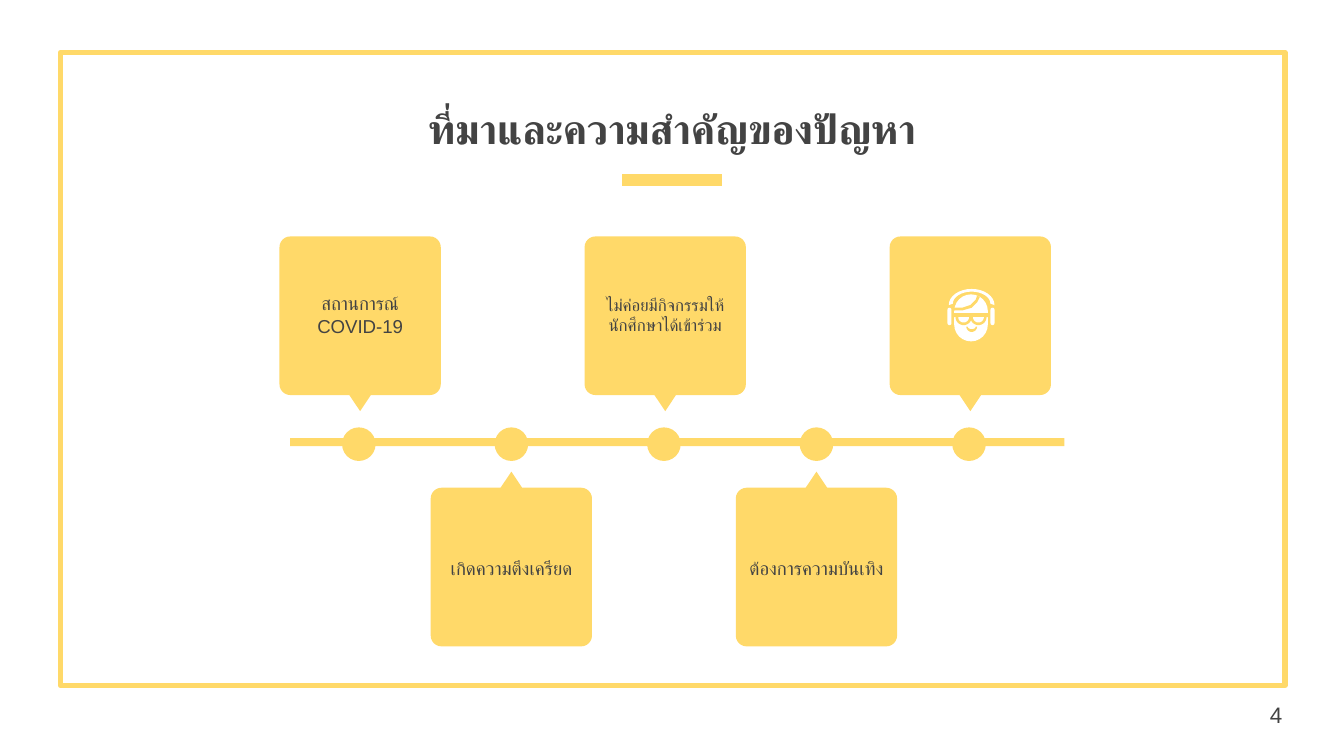
from dataclasses import dataclass
from math import cos, pi, sin

from lxml import etree
from pptx import Presentation
from pptx import util as u
from pptx.dml.color import RGBColor
from pptx.enum import shapes, text
from pptx.oxml import ns


@dataclass(frozen=True)
class Theme:
    yellow = RGBColor.from_string("FFD969")
    white = RGBColor.from_string("FFFFFF")
    ink = RGBColor.from_string("434343")
    font = "Arial"
    title = 22
    label = 10
    small = 9
    number = 12


theme = Theme()
deck = Presentation()
deck.slide_width = u.Inches(10)
deck.slide_height = deck.slide_width * 9 // 16
cell = deck.slide_width // 10  # square grid, ten columns across
page = deck.slides.add_slide(deck.slide_layouts.get_by_name("Comparison"))
Kind = shapes.MSO_SHAPE


def paint(shape, fill=None, line=None, weight=0):
    shape.shadow.inherit = False
    if fill is None:
        shape.fill.background()
    else:
        shape.fill.solid()
        shape.fill.fore_color.rgb = fill
    if line is None:
        shape.line.fill.background()
    else:
        shape.line.color.rgb = line
        shape.line.width = u.Pt(weight)


def write(box, place, words, size, bold=False,
          align=text.PP_ALIGN.CENTER, anchor=text.MSO_ANCHOR.MIDDLE):
    """Place a text box on the grid and fill it with one formatted paragraph."""
    box.left, box.top, box.width, box.height = [round(v * cell) for v in place]
    frame = box.text_frame
    frame.word_wrap = True
    frame.auto_size = text.MSO_AUTO_SIZE.NONE
    frame.vertical_anchor = anchor
    frame.margin_left = frame.margin_right = u.Inches(0.1)
    frame.margin_top = frame.margin_bottom = u.Inches(0.1)
    para = frame.paragraphs[0]
    para.alignment = align
    para.space_before = u.Pt(0)
    settings = para._p.get_or_add_pPr()
    settings.set("marL", "0")
    settings.set("indent", "0")
    etree.SubElement(settings, ns.qn("a:buNone"))
    span = para.add_run()
    span.text = words
    span.font.name = theme.font
    span.font.size = u.Pt(size)
    span.font.bold = bold
    span.font.color.rgb = theme.ink
    thai = etree.SubElement(span._r.get_or_add_rPr(), ns.qn("a:cs"))
    thai.set("typeface", theme.font)
    box.element.getparent().append(box.element)  # bring to front


# Frame and title rule
frame_box = page.shapes.add_shape(
    Kind.RECTANGLE, *[round(v * cell) for v in (0.45, 0.39, 9.11, 4.71)])
paint(frame_box, line=theme.yellow, weight=3)
rule = page.shapes.add_connector(
    shapes.MSO_CONNECTOR.STRAIGHT,
    *[round(v * cell) for v in (4.63, 1.34, 5.37, 1.34)])
rule.line.color.rgb = theme.yellow
rule.line.width = u.Pt(6)
etree.SubElement(rule._element.spPr, ns.qn("a:effectLst"))

# Timeline: bar, then a dot and a card for each stop
timeline = page.shapes.add_group_shape()
bar = timeline.shapes.add_shape(
    Kind.RECTANGLE, *[round(v * cell) for v in (2.16, 3.26, 5.76, 0.06)])
paint(bar, theme.yellow)

half, tall, tail, radius, dot = 0.6, 1.18, 0.12, 0.08, 0.25
corners = [(-1, tail + radius, 270), (-1, tail + tall - radius, 180),
           (1, tail + tall - radius, 90), (1, tail + radius, 0)]
card_outline = [(0, 0), (-radius, tail)]  # measured from the tip of the tail
for side, depth, start in corners:
    for turn in range(0, 91, 15):
        angle = (start - turn) * pi / 180
        card_outline.append((side * (half - radius) + radius * cos(angle),
                             depth + radius * sin(angle)))
card_outline.append((radius, tail))

first, last = 2.67, 7.21
stops = [first + (last - first) / 4 * i for i in range(5)]
for i, stop in enumerate(stops):
    marker = timeline.shapes.add_shape(
        Kind.OVAL, *[round(v * cell) for v in (stop - dot / 2, 3.18, dot, dot)])
    paint(marker, theme.yellow)
    upper = i % 2 == 0
    tip, direction, middle = (3.06, -1, stop + 0.01) if upper else (3.51, 1, stop)
    points = [((middle + x) * cell, (tip + direction * y) * cell)
              for x, y in card_outline]
    builder = timeline.shapes.build_freeform(*points[0])
    builder.add_line_segments(points[1:])
    paint(builder.convert_to_shape(), theme.yellow)

# Portrait icon with headphones and glasses on the last card
icon = page.shapes.add_group_shape()
for left, top, width, height in [(7.1, 2.19, 0.25, 0.35),
                                 (7.05, 2.29, 0.03, 0.13),
                                 (7.37, 2.29, 0.03, 0.13)]:
    part = icon.shapes.add_shape(
        Kind.ROUNDED_RECTANGLE,
        *[round(v * cell) for v in (left, top, width, height)])
    part.adjustments[0] = 0.5
    paint(part, theme.white)
brow = icon.shapes.add_shape(
    Kind.RECTANGLE, *[round(v * cell) for v in (7.1, 2.33, 0.25, 0.03)])
paint(brow, theme.yellow)

half_turn = [pi * i / 16 for i in range(17)]
band = [(7.23 + 0.17 * cos(a), 2.27 - 0.12 * sin(a)) for a in half_turn]
band += [(7.23 - 0.14 * cos(a), 2.26 - 0.09 * sin(a)) for a in half_turn]
smile = [(7.23 + 0.04 * cos(a), 2.43 + 0.04 * sin(a)) for a in half_turn]
smile += [(7.23 - 0.03 * cos(a), 2.43 + 0.02 * sin(a)) for a in half_turn]
outlines = [(band, theme.white), (smile, theme.yellow)]
for reach, colour in [(0.06, theme.yellow), (0.04, theme.white)]:
    for eye in (7.17, 7.28):
        lens = [(eye + reach * cos(a), 2.36 + reach * sin(a)) for a in half_turn]
        outlines.append((lens, colour))
hair_gap = [(7.1, 2.29), (7.16, 2.29), (7.22, 2.27), (7.26, 2.23), (7.27, 2.2),
            (7.29, 2.21), (7.27, 2.25), (7.23, 2.29), (7.16, 2.31), (7.1, 2.31)]
outlines.append((hair_gap, theme.yellow))
for outline, colour in outlines:
    points = [(x * cell, y * cell) for x, y in outline]
    builder = icon.shapes.build_freeform(*points[0])
    builder.add_line_segments(points[1:])
    paint(builder.convert_to_shape(), colour)

# Texts
write(page.shapes.title, (0, 0.24, 10, 1), "ที่มาและความสำคัญของปัญหา",
      theme.title, bold=True, anchor=text.MSO_ANCHOR.BOTTOM)
labels = [("สถานการณ์ COVID-19", theme.label, 1.2, 0.9),
          ("เกิดความตึงเครียด", theme.label, 1.16, 0.74),
          ("ไม่ค่อยมีกิจกรรมให้นักศึกษาได้เข้าร่วม", theme.small, 1.2, 0.74),
          ("ต้องการความบันเทิง", theme.label, 1.23, 0.74)]
for i, (words, size, width, height) in enumerate(labels):
    middle, centre = (stops[i] + 0.01, 2.34) if i % 2 == 0 else (stops[i], 4.23)
    write(page.placeholders[i + 1],
          (middle - width / 2, centre - height / 2, width, height), words, size)
write(page.shapes.add_textbox(0, 0, cell, cell), (9.35, 5.1, 0.6, 0.43), "4",
      theme.number, align=text.PP_ALIGN.LEFT)

deck.save("out.pptx")
